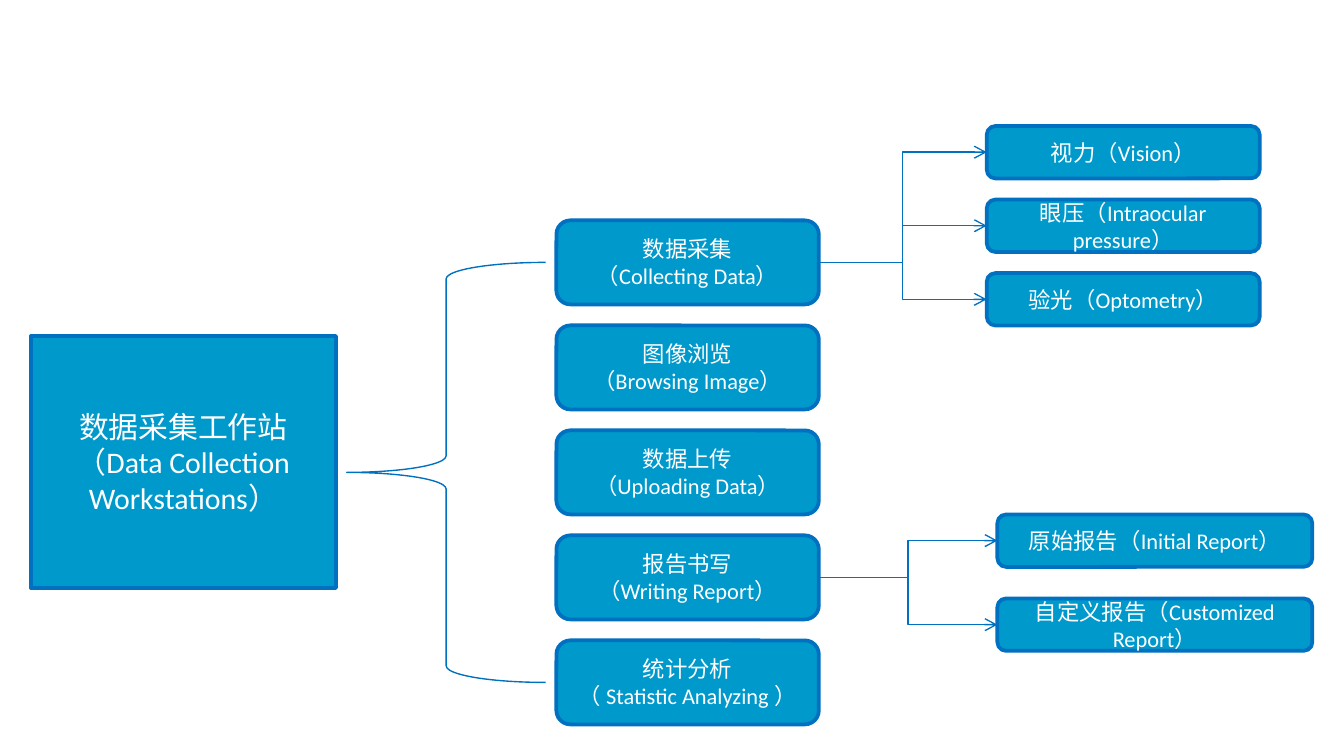
from lxml import etree
from pptx import Presentation
from pptx import util as u
from pptx.dml.color import RGBColor
from pptx.enum import shapes, text
from pptx.oxml import ns

COLORS = {"fill": "0099CC", "line": "0070C0", "text": "FFFFFF"}
FONT = "Calibri"
LEFT, RIGHT = 1, 3  # connection sites of a box


def color(name):
    return RGBColor.from_string(COLORS[name])


def add_outline(shape, width):
    shape.line.color.rgb = color("line")
    shape.line.width = u.Pt(width)


def add_box(page, kind, area, lines, size):
    box = page.shapes.add_shape(kind, *[u.Pt(v) for v in area])
    box.shadow.inherit = False
    box.fill.solid()
    box.fill.fore_color.rgb = color("fill")
    add_outline(box, 2)
    frame = box.text_frame
    frame.word_wrap = True
    frame.vertical_anchor = text.MSO_ANCHOR.MIDDLE
    for i, line in enumerate(lines):
        para = frame.add_paragraph() if i else frame.paragraphs[0]
        para.alignment = text.PP_ALIGN.CENTER
        span = para.add_run()
        span.text = line
        span.font.name = FONT
        span.font.size = u.Pt(size)
        span.font.color.rgb = color("text")
    return box


def add_stack(page, area, pitch, labels):
    """Equal rounded boxes, one below the other; area is the first box."""
    left, top, width, height = area
    return [
        add_box(page, shapes.MSO_SHAPE.ROUNDED_RECTANGLE,
                (left, top + i * pitch, width, height), lines, 12)
        for i, lines in enumerate(labels)
    ]


def add_brace(page, area):
    brace = page.shapes.add_shape(shapes.MSO_SHAPE.LEFT_BRACE, *[u.Pt(v) for v in area])
    brace.shadow.inherit = False
    brace.fill.background()
    add_outline(brace, 0.75)


def add_arrows(page, parent, children):
    for child in children:
        arrow = page.shapes.add_connector(shapes.MSO_CONNECTOR.ELBOW, 0, 0, 0, 0)
        arrow.begin_connect(parent, RIGHT)
        arrow.end_connect(child, LEFT)
        add_outline(arrow, 0.75)
        props = arrow.element.spPr
        etree.SubElement(props.find(ns.qn("a:ln")), ns.qn("a:tailEnd"), type="arrow")
        etree.SubElement(props, ns.qn("a:effectLst"))


def build_tree(page):
    # Root and brace
    add_box(page, shapes.MSO_SHAPE.RECTANGLE, (16.5, 180, 163.5, 135),
            ["数据采集工作站", "（Data Collection Workstations）"], 16)
    add_brace(page, (185.75, 140.6, 106.5, 225))

    # Functions of the workstation
    collecting, _, _, writing, _ = add_stack(page, (298.1, 118.1, 140.6, 45), 56.25, [
        ["数据采集", "（Collecting Data）"],
        ["图像浏览", "（Browsing Image）"],
        ["数据上传", "（Uploading Data）"],
        ["报告书写", "（Writing Report）"],
        ["统计分析", "（ Statistic Analyzing ）"],
    ])

    # Kinds of data
    exams = add_stack(page, (528.6, 67.5, 146.25, 28.1), 39.4, [
        ["视力（Vision）"],
        ["眼压（Intraocular pressure）"],
        ["验光（Optometry）"],
    ])
    add_arrows(page, collecting, exams)

    # Kinds of report
    reports = add_stack(page, (534.3, 275.6, 168.75, 28.1), 45, [
        ["原始报告（Initial Report）"],
        ["自定义报告（Customized", "Report）"],
    ])
    add_arrows(page, writing, reports)


deck = Presentation()
deck.slide_width, deck.slide_height = u.Pt(720), u.Pt(405)
build_tree(deck.slides.add_slide(deck.slide_layouts[6]))
deck.save("out.pptx")
